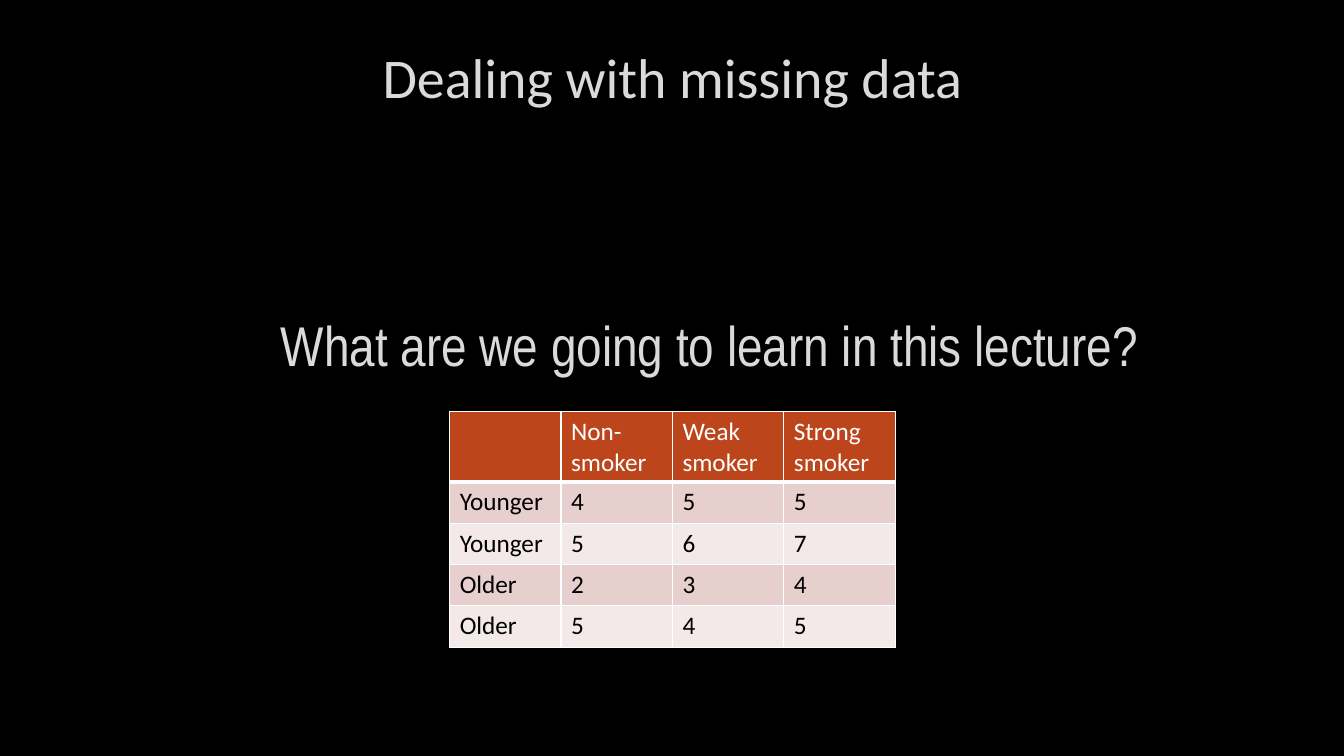
from lxml import etree
from pptx import Presentation
from pptx.dml.color import RGBColor
from pptx.enum.text import MSO_ANCHOR, PP_ALIGN
from pptx.oxml.ns import qn
from pptx.util import Inches, Pt

BLACK = RGBColor(0x00, 0x00, 0x00)
WHITE = RGBColor(0xFF, 0xFF, 0xFF)
LIGHT_GREY = RGBColor(0xDA, 0xDA, 0xDA)
DARK_GREY = RGBColor(0x40, 0x40, 0x40)
RUST = RGBColor(0xBC, 0x45, 0x1B)
ROSE = RGBColor(0xE7, 0xCF, 0xCD)
PALE_ROSE = RGBColor(0xF3, 0xE9, 0xE8)

SMOKERS = [
    ["", "Non-smoker", "Weak smoker", "Strong smoker"],
    ["Younger", "4", "5", "5"],
    ["Younger", "5", "6", "7"],
    ["Older", "2", "3", "4"],
    ["Older", "5", "4", "5"],
]


def add_line_fill(line, color, alpha=None):
    fill = etree.SubElement(line, qn("a:solidFill"))
    clr = etree.SubElement(fill, qn("a:srgbClr"), val=str(color))
    if alpha is not None:
        etree.SubElement(clr, qn("a:alpha"), val=str(alpha * 1000))


def place(sp, left, top, width, height):
    sp.left, sp.top = Inches(left), Inches(top)
    sp.width, sp.height = Inches(width), Inches(height)


def set_font(p, name, size, color):
    p.font.name = name
    p.font.size = Pt(size)
    p.font.color.rgb = color


def write_heading(sp, text, font_name):
    tf = sp.text_frame
    tf.word_wrap = True
    tf.vertical_anchor = MSO_ANCHOR.MIDDLE
    p = tf.paragraphs[0]
    p.alignment = PP_ALIGN.CENTER
    r = p.add_run()
    r.text = text
    set_font(p, font_name, 40, LIGHT_GREY)
    outline = etree.Element(qn("a:ln"), w=str(Pt(0.75)))
    add_line_fill(outline, DARK_GREY, alpha=10)
    r._r.get_or_add_rPr().insert(0, outline)


def set_borders(cell, bottom_width):
    tcPr = cell._tc.get_or_add_tcPr()
    widths = {"a:lnL": 1, "a:lnR": 1, "a:lnT": 1, "a:lnB": bottom_width}
    for i, (side, width) in enumerate(widths.items()):
        line = etree.Element(qn(side), w=str(Pt(width)))
        add_line_fill(line, WHITE)
        tcPr.insert(i, line)


def add_smoker_table(slide):
    frame = slide.shapes.add_table(
        len(SMOKERS), len(SMOKERS[0]),
        Inches(4.46), Inches(4.08), Inches(4.42), Inches(2.32))
    table = frame.table
    for row, texts in enumerate(SMOKERS):
        table.rows[row].height = Inches(0.41)
        header = row == 0
        fill = RUST if header else ROSE if row % 2 else PALE_ROSE
        for col, text in enumerate(texts):
            cell = table.cell(row, col)
            cell.text = text
            set_font(cell.text_frame.paragraphs[0], "Calibri", 18,
                     WHITE if header else BLACK)
            cell.text_frame.paragraphs[0].font.bold = False
            cell.fill.solid()
            cell.fill.fore_color.rgb = fill
            set_borders(cell, 3 if header else 1)
    frame.height = Inches(2.32)


def main():
    prs = Presentation()
    prs.slide_width, prs.slide_height = Inches(13.33), Inches(7.5)
    slide = prs.slides.add_slide(prs.slide_layouts[5])
    slide.background.fill.solid()
    slide.background.fill.fore_color.rgb = BLACK

    title = slide.shapes.title
    place(title, 1.01, 0.23, 11.32, 1.06)
    write_heading(title, "Dealing with missing data", "Calibri")

    question = slide.shapes.add_textbox(
        Inches(1.01), Inches(1.89), Inches(12.05), Inches(3.04))
    write_heading(question, "What are we going to learn in this lecture?",
                  "Arial Narrow")

    add_smoker_table(slide)
    prs.save("out.pptx")


if __name__ == "__main__":
    main()
